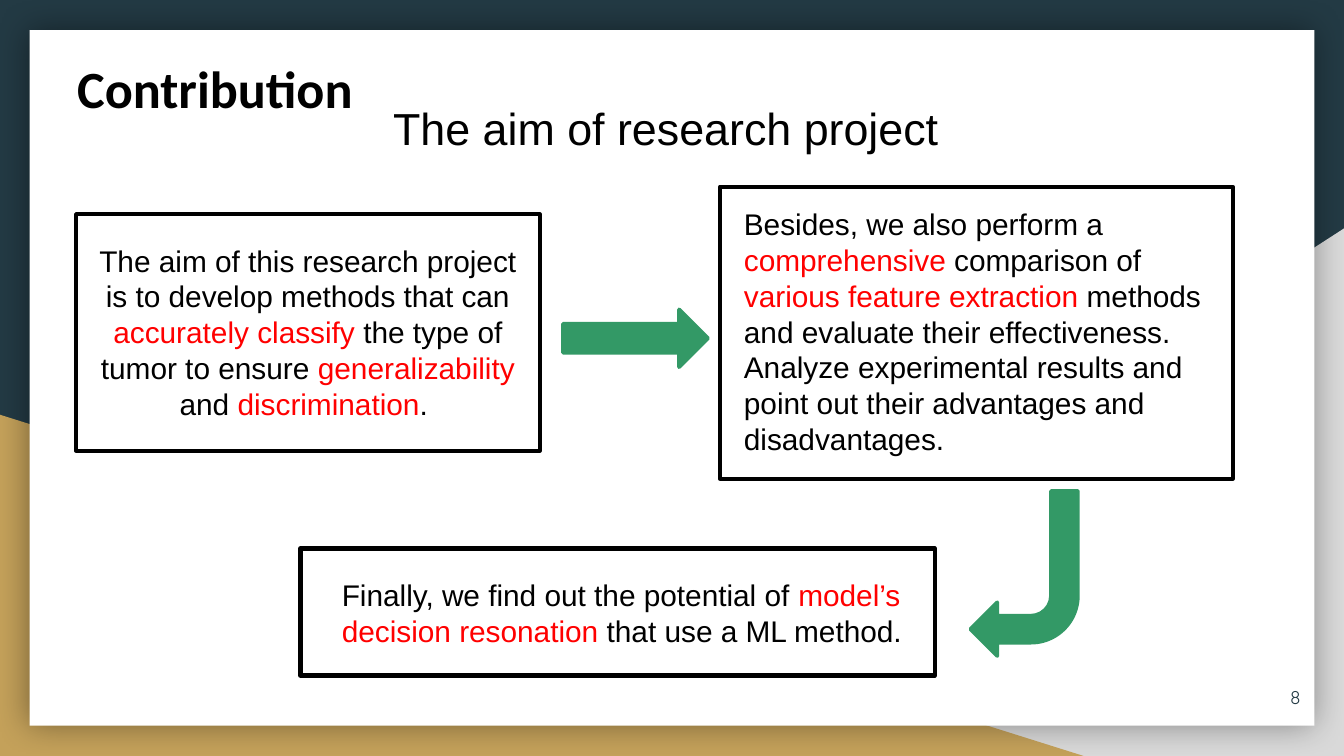
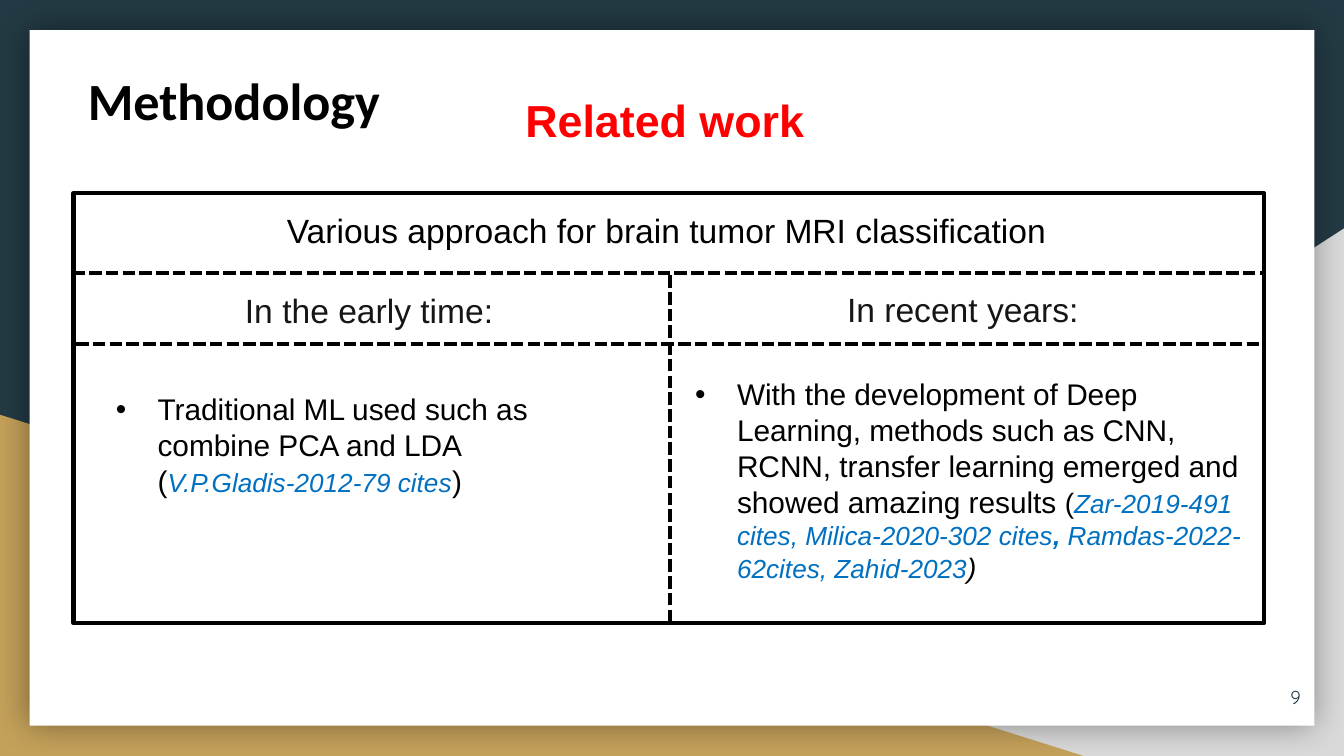
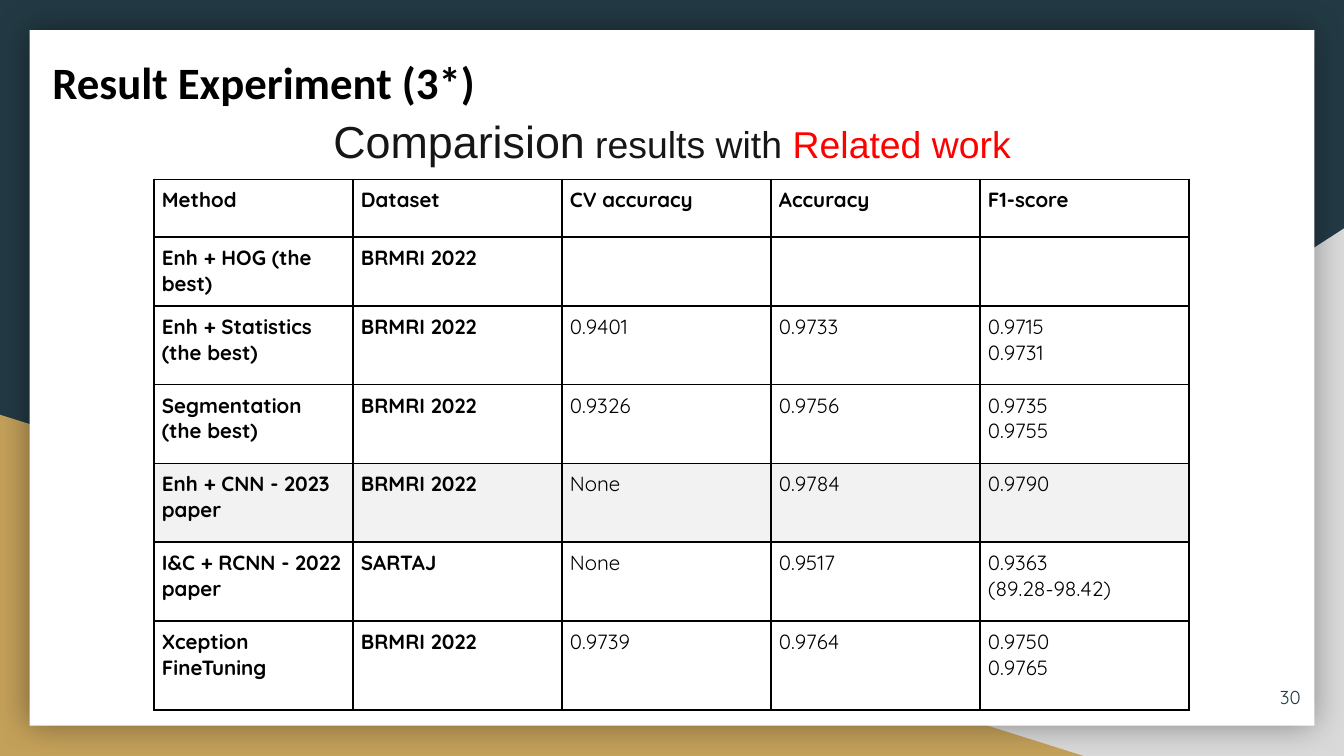
from lxml.etree import SubElement
from pptx import Presentation
from pptx.dml.color import RGBColor
from pptx.enum.dml import MSO_LINE
from pptx.enum.shapes import MSO_CONNECTOR, MSO_SHAPE
from pptx.enum.text import MSO_ANCHOR, PP_ALIGN
from pptx.oxml.ns import qn
from pptx.util import Cm, Pt

BLACK = RGBColor(0x00, 0x00, 0x00)
INK = RGBColor(0x16, 0x16, 0x16)
WHITE = RGBColor(0xFF, 0xFF, 0xFF)
NAVY = RGBColor(0x23, 0x3A, 0x44)
GOLD = RGBColor(0xC4, 0xA1, 0x5A)
SILVER = RGBColor(0xD9, 0xD9, 0xD9)
PALE = RGBColor(0xF2, 0xF2, 0xF2)
RED = RGBColor(0xFF, 0x00, 0x00)
BLUE = RGBColor(0x00, 0x70, 0xC0)
GREEN = RGBColor(0x33, 0x99, 0x66)

BODY_FONT, TITLE_FONT, SMALL_FONT = "Arial", "Calibri", "Quicksand"
FRAME_WIDTH = 2.25
HIGHLIGHT = {"color": RED}
CITATION = {"color": BLUE, "size": 14, "italic": True}


def set_font(font, name=None, size=None, color=None, bold=None, italic=None):
    if name:
        font.name = name
    if size:
        font.size = Pt(size)
    if color is not None:
        font.color.rgb = color
    if bold is not None:
        font.bold = bold
    if italic is not None:
        font.italic = italic


def add_bullet(paragraph):
    properties = paragraph._p.get_or_add_pPr()
    properties.set("marL", str(Cm(0.79)))
    properties.set("indent", str(Cm(-0.79)))
    color = SubElement(properties, qn("a:buClr"))
    SubElement(color, qn("a:srgbClr"), val=str(BLACK))
    SubElement(properties, qn("a:buFont"), typeface=BODY_FONT)
    SubElement(properties, qn("a:buChar"), char="•")


def add_soft_shadow(shape):
    effects = SubElement(shape._element.spPr, qn("a:effectLst"))
    shadow = SubElement(effects, qn("a:outerShdw"), blurRad=str(Pt(18)), dist="0",
                        algn="ctr", rotWithShape="0")
    color = SubElement(shadow, qn("a:srgbClr"), val=str(BLACK))
    SubElement(color, qn("a:alpha"), val="40000")


def add_cell_borders(cell):
    properties = cell._tc.get_or_add_tcPr()
    for position, side in enumerate(("lnL", "lnR", "lnT", "lnB")):
        line = properties.makeelement(qn(f"a:{side}"), {"w": str(Pt(1))})
        fill = SubElement(line, qn("a:solidFill"))
        SubElement(fill, qn("a:srgbClr"), val=str(BLACK))
        properties.insert(position, line)


class Deck:
    """Holds the shared style and the slide being built; all boxes are in cm."""

    def __init__(self):
        self.presentation = Presentation()
        self.presentation.slide_width = Cm(25.4)
        self.presentation.slide_height = Cm(14.29)
        self.layout = self.presentation.slide_layouts[6]
        self.slide = None

    def new_slide(self, number):
        self.slide = self.presentation.slides.add_slide(self.layout)
        if len(self.presentation.slides) == 1:
            self.decorate_layout()
        self.text((23.31, 12.63, 1.52, 1.09), [str(number)], name=SMALL_FONT, size=10,
                  color=NAVY, align=PP_ALIGN.RIGHT, anchor=MSO_ANCHOR.MIDDLE, inset=0.25)

    def decorate_layout(self):
        """Draws the backdrop on the first slide and moves it to the shared layout."""
        for placeholder in list(self.layout.placeholders):
            self.layout.shapes._spTree.remove(placeholder._element)
        background = self.layout.background.fill
        background.solid()
        background.fore_color.rgb = NAVY
        right_corner = self.shape(MSO_SHAPE.RIGHT_TRIANGLE, (9.97, 4.32, 15.43, 9.97), SILVER)
        right_corner._element.spPr.find(qn("a:xfrm")).set("flipH", "1")
        left_corner = self.shape(MSO_SHAPE.RIGHT_TRIANGLE, (0, 7.84, 20.48, 6.45), GOLD)
        page = self.shape(MSO_SHAPE.RECTANGLE, (0.56, 0.57, 24.28, 13.15), WHITE, shadow=True)
        for shape in (right_corner, left_corner, page):
            self.layout.shapes._spTree.append(shape._element)

    def shape(self, kind, box, fill, line=None, line_width=FRAME_WIDTH, shadow=False):
        shape = self.slide.shapes.add_shape(kind, *map(Cm, box))
        shape.fill.solid()
        shape.fill.fore_color.rgb = fill
        if line is None:
            shape.line.fill.background()
        else:
            shape.line.color.rgb = line
            shape.line.width = Pt(line_width)
        if shadow:
            add_soft_shadow(shape)
        else:
            shape.shadow.inherit = False
        return shape

    def text(self, box, runs, size=16, color=BLACK, name=BODY_FONT, bold=None,
             align=PP_ALIGN.LEFT, anchor=MSO_ANCHOR.TOP, inset=0.13, indent=0, bullet=False):
        """Adds one paragraph; a run is a string or a (string, font changes) pair."""
        shape = self.slide.shapes.add_textbox(*map(Cm, box))
        frame = shape.text_frame
        frame.word_wrap = True
        frame.vertical_anchor = anchor
        frame.margin_top = frame.margin_bottom = Cm(inset)
        paragraph = frame.paragraphs[0]
        paragraph.alignment = align
        if indent:
            paragraph._p.get_or_add_pPr().set("marL", str(Cm(indent)))
        if bullet:
            add_bullet(paragraph)
        set_font(paragraph.font, name, size, color, bold)
        for item in runs:
            content, changes = (item, {}) if isinstance(item, str) else item
            run = paragraph.add_run()
            run.text = content
            set_font(run.font, **changes)
        return shape

    def title(self, box, content, size=28):
        self.text(box, [content], size=size, name=TITLE_FONT, bold=True, inset=0.25, indent=0.36)

    def heading(self, box, runs, size=24, **style):
        self.text(box, runs, size=size, align=PP_ALIGN.CENTER, **style)

    def frame(self, box):
        return self.shape(MSO_SHAPE.RECTANGLE, box, WHITE, BLACK)

    def framed_text(self, frame_box, text_box, runs, align=PP_ALIGN.LEFT):
        members = [self.frame(frame_box), self.text(text_box, runs, align=align)]
        self.slide.shapes.add_group_shape(members)

    def arrow(self, kind, box, rotation=0):
        self.shape(kind, box, GREEN, GREEN, 2).rotation = rotation

    def dashed_line(self, *ends):
        connector = self.slide.shapes.add_connector(MSO_CONNECTOR.STRAIGHT, *map(Cm, ends))
        connector.line.color.rgb = BLACK
        connector.line.width = Pt(FRAME_WIDTH)
        connector.line.dash_style = MSO_LINE.SQUARE_DOT
        SubElement(connector._element.spPr, qn("a:effectLst"))

    def table(self, left, top, widths, heights, rows, shaded_row):
        """Adds a grid whose header row and first two columns are bold."""
        table = self.slide.shapes.add_table(
            len(rows), len(widths), Cm(left), Cm(top), Cm(sum(widths)), Cm(sum(heights))).table
        table.first_row = table.horz_banding = False
        for column, width in zip(table.columns, widths):
            column.width = Cm(width)
        for row_index, (values, height) in enumerate(zip(rows, heights)):
            table.rows[row_index].height = Cm(height)
            for column_index, value in enumerate(values):
                cell = table.cell(row_index, column_index)
                cell.margin_left = cell.margin_right = Cm(0.15)
                cell.margin_top = cell.margin_bottom = Cm(0.15)
                if row_index == shaded_row:
                    cell.fill.solid()
                    cell.fill.fore_color.rgb = PALE
                else:
                    cell.fill.background()
                add_cell_borders(cell)
                if not value:
                    continue
                cell.text_frame.text = value
                for paragraph in cell.text_frame.paragraphs:
                    set_font(paragraph.font, SMALL_FONT, 11, BLACK,
                             row_index == 0 or column_index < 2)


def build_contribution(deck):
    deck.new_slide(8)
    deck.title((0.85, 0.81, 8.51, 1.7), "Contribution")
    deck.heading((7.06, 1.78, 11.28, 1.27), ["The aim of research project "])
    deck.framed_text((1.44, 4.05, 8.76, 4.47), (1.44, 4.45, 8.76, 3.68), [
        "The aim of this research project is to develop methods that can ",
        ("accurately classify ", HIGHLIGHT),
        "the type of tumor to ensure ",
        ("generalizability", HIGHLIGHT),
        " and ",
        ("discrimination", HIGHLIGHT),
        ". ",
    ], PP_ALIGN.CENTER)
    deck.framed_text((13.61, 3.53, 9.69, 5.52), (13.81, 3.76, 9.88, 5.05), [
        "Besides, we also perform a ",
        ("comprehensive", HIGHLIGHT),
        " comparison of ",
        ("various feature extraction", HIGHLIGHT),
        " methods and evaluate their effectiveness. Analyze experimental results "
        "and point out their advantages and disadvantages.",
    ])
    deck.framed_text((5.68, 10.37, 11.99, 2.4), (6.21, 10.77, 11.18, 1.63), [
        "Finally, we find out the potential of ",
        ("model’s decision resonation", HIGHLIGHT),
        " that use a ML method.",
    ])
    deck.arrow(MSO_SHAPE.RIGHT_ARROW, (10.64, 5.85, 2.74, 1.09))
    deck.arrow(MSO_SHAPE.BENT_ARROW, (18.34, 9.28, 2.03, 3.12), rotation=180)


def build_methodology(deck):
    deck.new_slide(9)
    deck.frame((1.39, 3.65, 22.5, 8.13))
    deck.dashed_line(12.66, 11.76, 12.66, 5.13)
    deck.title((1.05, 1.04, 8.51, 1.7), "Methodology")
    deck.heading((7.54, 1.63, 10.28, 1.27), ["Related work "], color=RED, bold=True)
    deck.heading((1.45, 3.83, 22.47, 1.02),
                 ["Various approach for brain tumor MRI classification "], size=18)
    deck.heading((1.45, 5.36, 11.23, 1.02), ["In the early time: "], size=18, color=INK)
    deck.text((1.94, 7.26, 10.24, 2.31), [
        "Traditional ML used such as combine PCA and LDA (",
        ("V.P.Gladis-2012-79 cites", CITATION),
        ")",
    ], bullet=True)
    deck.heading((12.66, 5.33, 11.25, 1.02), ["In recent years: "], size=18, color=INK)
    deck.text((12.89, 6.98, 10.85, 4.27), [
        "With the development of Deep Learning, methods such as CNN, RCNN, "
        "transfer learning emerged and showed amazing results ",
        ("(", {"size": 15}),
        ("Zar-2019-491 cites, Milica-2020-302 cites", CITATION),
        (", ", {**CITATION, "bold": True}),
        ("Ramdas-2022-62cites, Zahid-2023", CITATION),
        (")", {"size": 15, "italic": True}),
    ], bullet=True)
    deck.dashed_line(1.44, 6.5, 23.92, 6.5)
    deck.dashed_line(1.37, 5.16, 23.85, 5.16)


def build_results(deck):
    deck.new_slide(30)
    deck.title((0.38, 0.79, 10.54, 1.55), "Result Experiment (3*)", size=24)
    deck.heading((5.91, 2.02, 13.59, 1.27), [
        "Comparision",
        (" results with ", {"size": 20}),
        ("Related work", {"size": 20, "color": RED}),
    ], color=INK)
    rows = [
        ("Method", "Dataset", "CV accuracy", "Accuracy", "F1-score"),
        ("Enh + HOG (the best)", "BRMRI 2022", "", "", ""),
        ("Enh + Statistics (the best)", "BRMRI 2022", "0.9401", "0.9733", "0.9715\n0.9731"),
        ("Segmentation (the best)", "BRMRI 2022", "0.9326", "0.9756", "0.9735\n0.9755"),
        ("Enh + CNN - 2023 paper", "BRMRI 2022", "None", "0.9784", "0.9790"),
        ("I&C + RCNN - 2022 paper", "SARTAJ", "None", "0.9517", "0.9363\n(89.28-98.42)"),
        ("Xception FineTuning", "BRMRI 2022", "0.9739", "0.9764", "0.9750\n0.9765"),
    ]
    deck.table(2.91, 3.39, [3.76] + [3.95] * 4, [1.09, 1.3] + [1.49] * 4 + [1.68],
               rows, shaded_row=4)


def main():
    deck = Deck()
    build_contribution(deck)
    build_methodology(deck)
    build_results(deck)
    deck.presentation.save("out.pptx")


if __name__ == "__main__":
    main()
